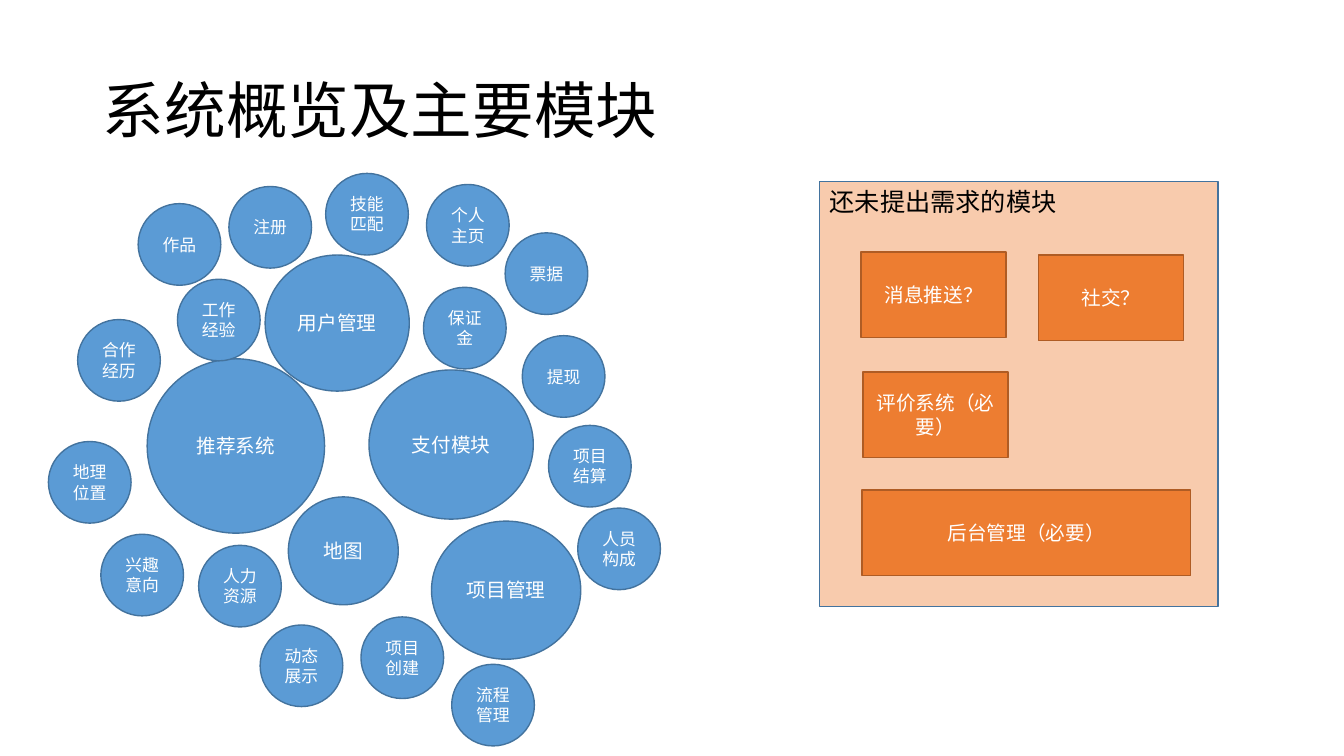
from typing import NamedTuple

from pptx import Presentation
from pptx.dml.color import RGBColor
from pptx.enum.shapes import MSO_SHAPE as Preset
from pptx.enum.text import MSO_ANCHOR as Anchor, PP_ALIGN as Align
from pptx.util import Inches, Pt

SLIDE_WIDTH, SLIDE_HEIGHT = Inches(13.33), Inches(7.5)
COLUMN, ROW = SLIDE_WIDTH / 133.3, SLIDE_HEIGHT / 75

BLACK = RGBColor(0x00, 0x00, 0x00)
WHITE = RGBColor(0xFF, 0xFF, 0xFF)
BLUE = RGBColor(0x5B, 0x9B, 0xD5)
DARK_BLUE = RGBColor(0x43, 0x73, 0x9E)
ORANGE = RGBColor(0xED, 0x7D, 0x31)
DARK_ORANGE = RGBColor(0xAF, 0x5C, 0x24)
PEACH = RGBColor(0xF8, 0xCB, 0xAD)

MODULES = [
    ("用户管理", 22.3, 8.3, 14.3, 13.5),
    ("项目管理", 38.8, 34.7, 14.8, 13.7),
    ("推荐系统", 10.6, 18.6, 17.6, 17.3),
    ("地图", 24.6, 32.3, 10.9, 10.7),
    ("支付模块", 32.6, 19.7, 16.3, 14.8),
]
FEATURE_SIZE = (8.2, 8.1)
FEATURES = [
    ("注册", 18.7, 1.5),
    ("技能匹配", 28.3, 0.2),
    ("作品", 9.7, 3.2),
    ("个人主页", 38.3, 1.3),
    ("提现", 47.8, 16.3),
    ("保证金", 38, 11.5),
    ("项目结算", 50.4, 25.2),
    ("工作经验", 13.6, 10.7),
    ("兴趣意向", 6, 36),
    ("地理位置", 0.8, 26.8),
    ("合作经历", 3.7, 14.7),
    ("人力资源", 15.7, 37.1),
    ("动态展示", 21.8, 45),
    ("项目创建", 31.8, 44.2),
    ("人员构成", 53.3, 33.4),
    ("流程管理", 40.8, 48.9),
    ("票据", 46.1, 6.1),
]
PENDING_HEIGHT = 8.5
PENDING_MODULES = [
    ("评价系统（必要）", 4.3, 18.9, 14.4),
    ("社交？", 21.7, 7.3, 14.4),
    ("消息推送？", 4.1, 7, 14.4),
    ("后台管理（必要）", 4.2, 30.6, 32.6),
]


class Box(NamedTuple):
    """Area of the slide in grid columns and rows."""

    left: float
    top: float
    width: float
    height: float

    def inner(self, left, top, width, height):
        """Return a box offset from this box's corner."""
        return Box(self.left + left, self.top + top, width, height)

    def lengths(self):
        """Return left, top, width and height in EMU."""
        units = (COLUMN, ROW, COLUMN, ROW)
        return [round(length * unit) for length, unit in zip(self, units)]


def write_text(shape, text, size=14, color=WHITE, align=Align.CENTER,
               anchor=Anchor.MIDDLE, line_spacing=None):
    """Write one formatted paragraph into a shape."""
    frame = shape.text_frame
    frame.word_wrap = True
    frame.vertical_anchor = anchor
    paragraph = frame.paragraphs[0]
    paragraph.alignment = align
    paragraph.line_spacing = line_spacing
    run = paragraph.add_run()
    run.text = text
    run.font.name = "Calibri"
    run.font.size = Pt(size)
    run.font.color.rgb = color


def add_block(shapes, preset, box, text, fill, line, **text_format):
    """Add a filled, outlined shape with its label."""
    shape = shapes.add_shape(preset, *box.lengths())
    shape.shadow.inherit = False
    shape.fill.solid()
    shape.fill.fore_color.rgb = fill
    shape.line.color.rgb = line
    shape.line.width = Pt(1)
    write_text(shape, text, **text_format)


def add_title(slide, box):
    """Place and write the slide title."""
    title = slide.shapes.title
    title.left, title.top, title.width, title.height = box.lengths()
    write_text(title, "系统概览及主要模块", size=44, color=BLACK,
               align=Align.LEFT, line_spacing=0.9)


def add_pending_panel(slide, box):
    """Group the modules without requirements on a panel."""
    shapes = slide.shapes.add_group_shape().shapes
    add_block(shapes, Preset.RECTANGLE, box, "还未提出需求的模块", PEACH, DARK_BLUE,
              size=18, color=BLACK, align=Align.LEFT, anchor=Anchor.TOP)
    for text, left, top, width in PENDING_MODULES:
        add_block(shapes, Preset.RECTANGLE,
                  box.inner(left, top, width, PENDING_HEIGHT),
                  text, ORANGE, DARK_ORANGE)


def add_bubbles(slide, box, bubbles, size):
    """Draw a set of labelled bubbles inside a box."""
    for text, *area in bubbles:
        add_block(slide.shapes, Preset.OVAL, box.inner(*area), text,
                  BLUE, DARK_BLUE, size=size)


def main():
    """Build and save the system overview slide."""
    presentation = Presentation()
    presentation.slide_width = SLIDE_WIDTH
    presentation.slide_height = SLIDE_HEIGHT
    slide = presentation.slides.add_slide(presentation.slide_layouts[5])
    bubble_area = Box(4, 17, 62, 58)
    features = [(*feature, *FEATURE_SIZE) for feature in FEATURES]
    add_title(slide, Box(9.2, 4, 115, 14.5))
    add_bubbles(slide, bubble_area, MODULES, size=14)
    add_pending_panel(slide, Box(81.3, 18, 39.5, 42.2))
    add_bubbles(slide, bubble_area, features, size=12)
    presentation.save("out.pptx")


if __name__ == "__main__":
    main()
